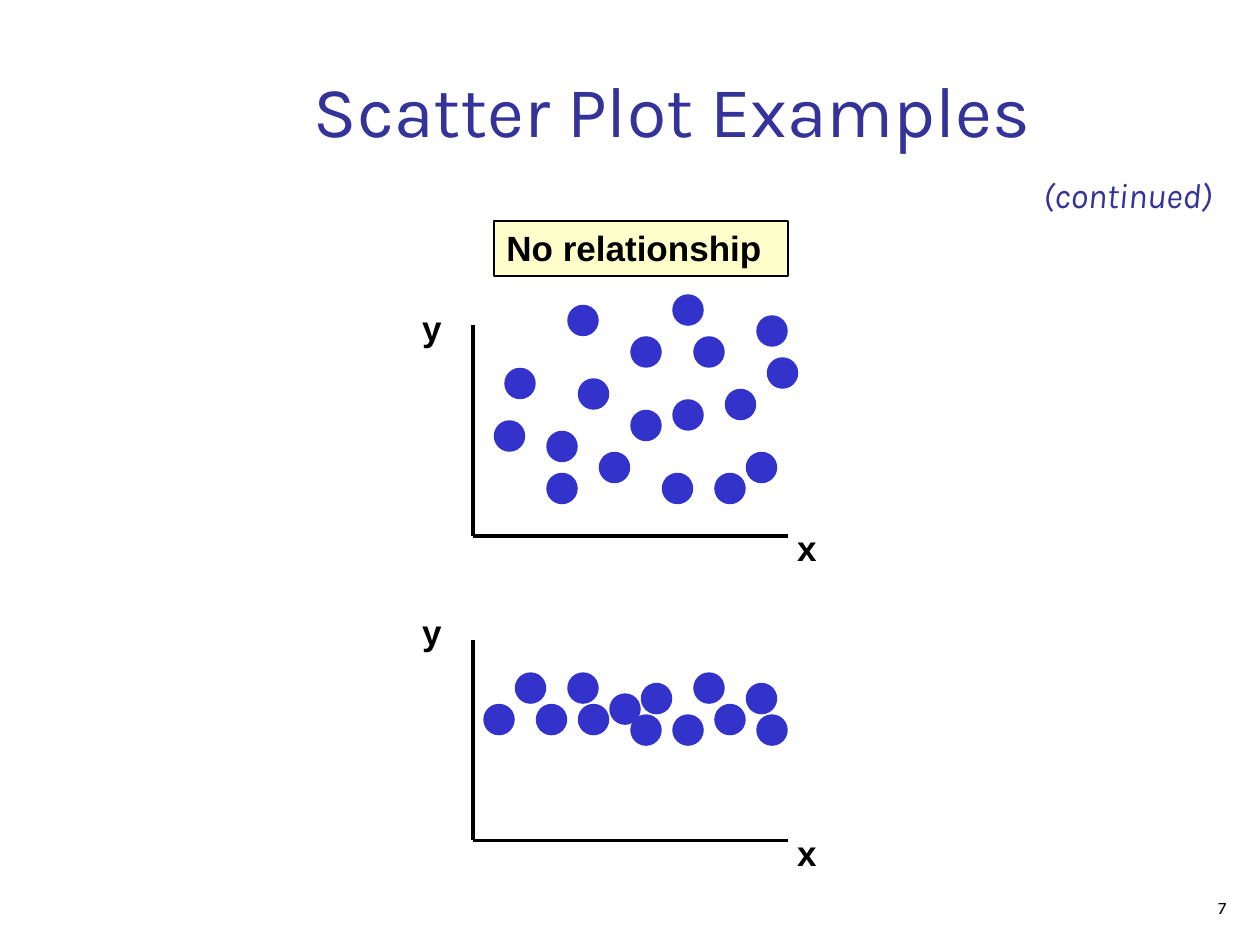
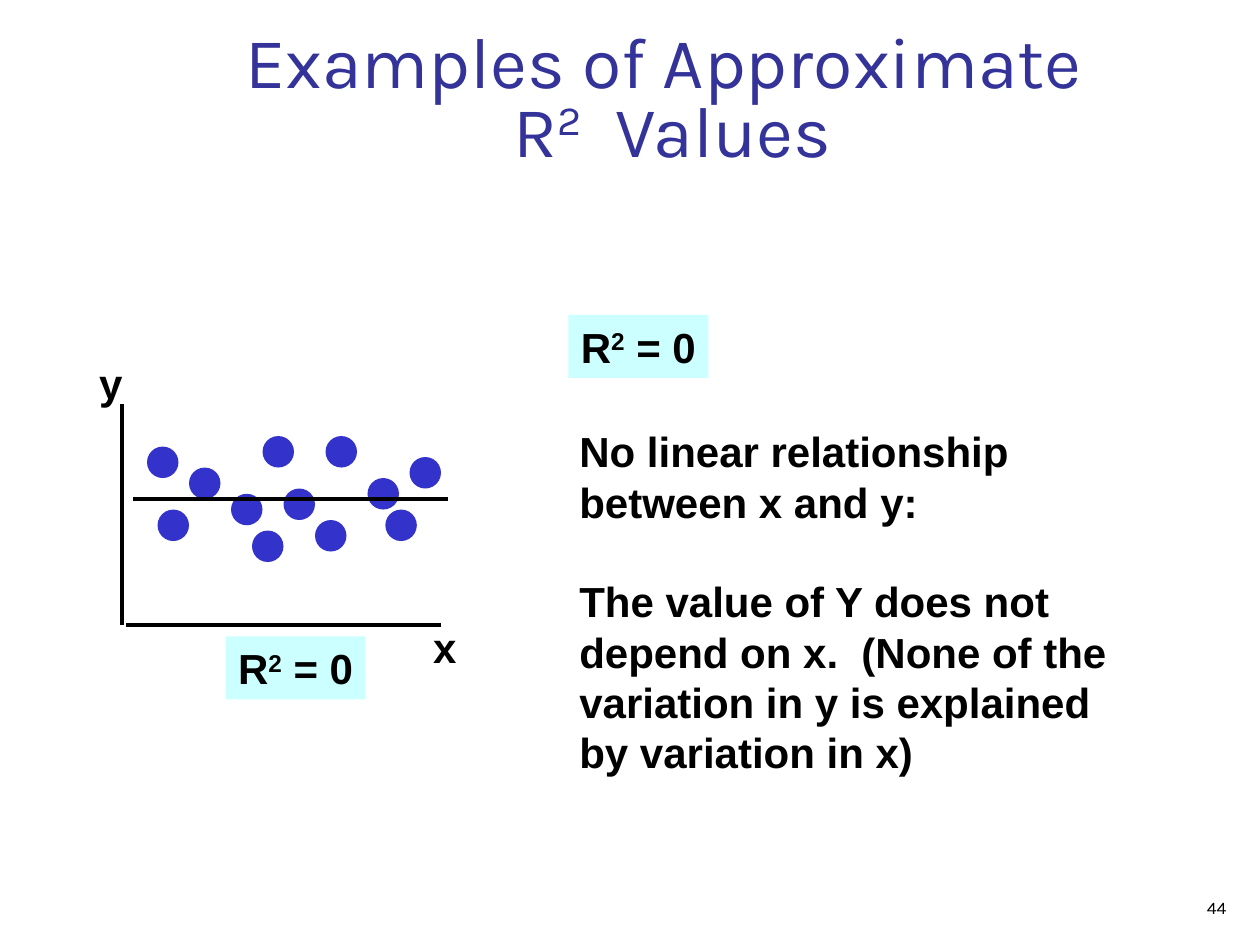
from dataclasses import dataclass

from lxml.etree import SubElement
from pptx import Presentation
from pptx.dml.color import RGBColor as Rgb
from pptx.enum.shapes import MSO_CONNECTOR as Connector, MSO_SHAPE as Shape
from pptx.enum.text import MSO_ANCHOR as Anchor, MSO_AUTO_SIZE as AutoSize, PP_ALIGN as Align
from pptx.oxml.ns import qn
from pptx.util import Cm, Pt


@dataclass(frozen=True)
class Theme:
    title_font: str = "Karla"
    text_font: str = "Arial"
    ink: Rgb = Rgb(0, 0, 0)
    title: Rgb = Rgb(0x33, 0x33, 0x99)
    dot: Rgb = Rgb(0x33, 0x33, 0xCC)
    heading_fill: Rgb = Rgb(0xFF, 0xFF, 0xCC)
    value_fill: Rgb = Rgb(0xCC, 0xFF, 0xFF)
    title_size: int = 41
    large: int = 24
    medium: int = 20
    small: int = 10


THEME = Theme()
GRID = 2.54 / 12  # dots sit on a grid of twelve cells to the inch
DOT_SIZE = 3 * GRID
AXIS_WIDTH = 6.35

# Dot places in grid cells, right of and above the plot's origin
SCATTERED_DOTS = [
    (19, 23), (2, 11), (26, 8), (28, 17), (7, 6), (9, 22),
    (19, 13), (21, 19), (27, 21), (15, 19), (7, 10), (10, 15),
    (23, 6), (15, 12), (12, 8), (3, 16), (18, 6), (24, 14),
]
FLAT_DOTS = [
    (27, 12), (6, 13), (26, 15), (9, 16), (21, 16), (23, 13), (13, 14),
    (1, 13), (4, 16), (10, 13), (19, 12), (16, 15), (15, 12),
]
ZERO_FIT_DOTS = [
    (3, 11), (27, 16), (23, 14), (18, 10), (19, 18), (13, 18),
    (2, 17), (6, 15), (10, 12.5), (15, 13), (12, 9), (24.7, 11),
]


# Text
def add_span(para, text, superscript=False):
    span = para.add_run()
    span.text = text
    if superscript:
        span._r.get_or_add_rPr().set("baseline", "30000")


def write(box, text, size=THEME.medium, font=THEME.text_font, color=THEME.ink,
          bold=True, italic=False, align=Align.LEFT, anchor=Anchor.TOP,
          wrap=False, fit=True, line_spacing=None, gap=0):
    """Fill a box: a new line starts a paragraph, \\v breaks a line, ² is raised."""
    frame = box.text_frame
    frame.word_wrap = wrap
    frame.auto_size = AutoSize.SHAPE_TO_FIT_TEXT if fit else AutoSize.NONE
    frame.vertical_anchor = anchor
    for index, paragraph_text in enumerate(text.split("\n")):
        para = frame.add_paragraph() if index else frame.paragraphs[0]
        para.alignment = align
        para.line_spacing = line_spacing
        if index:
            para.space_before = Pt(gap)
        for row, line in enumerate(paragraph_text.split("\v")):
            if row:
                para.add_line_break()
            base, mark, rest = line.partition("²")
            add_span(para, base)
            if mark:
                add_span(para, "2", superscript=True)
                add_span(para, rest)
        for span in para.runs:
            style = span.font
            style.name, style.size = font, Pt(size)
            style.bold, style.italic = bold, italic
            style.color.rgb = color


def add_text(page, text, left, top, width, height, **style):
    box = page.shapes.add_textbox(Cm(left), Cm(top), Cm(width), Cm(height))
    write(box, text, **style)


# Shapes and lines
def add_filled(page, kind, left, top, width, height, fill, outline=None):
    shape = page.shapes.add_shape(kind, Cm(left), Cm(top), Cm(width), Cm(height))
    shape.shadow.inherit = False
    shape.fill.solid()
    shape.fill.fore_color.rgb = fill
    if outline is None:
        shape.line.fill.background()
    else:
        shape.line.color.rgb = outline
        shape.line.width = Pt(1)
    return shape


def add_line(page, x1, y1, x2, y2):
    line = page.shapes.add_connector(
        Connector.STRAIGHT, Cm(x1), Cm(y1), Cm(x2), Cm(y2))
    line.line.color.rgb = THEME.ink
    line.line.width = Pt(2)
    SubElement(line._element.spPr, qn("a:effectLst"))


def add_value_label(page, left, top, **style):
    box = add_filled(page, Shape.RECTANGLE, left, top, 2.82, 1.27, THEME.value_fill)
    write(box, "R² = 0", size=THEME.large, **style)


def add_plot(page, dots, left, base, height, y_label, x_label,
             label_size=THEME.medium, y_axis_shift=0):
    """Draw dots, axes and axis letters; label places are left, top."""
    for right, up in dots:
        add_filled(page, Shape.OVAL, left + right * GRID, base - up * GRID,
                   DOT_SIZE, DOT_SIZE, THEME.dot)
    axis_x = left + y_axis_shift
    add_line(page, axis_x, base - height, axis_x, base)
    add_line(page, left, base, left + AXIS_WIDTH, base)
    for letter, place in (("y", y_label), ("x", x_label)):
        add_text(page, letter, *place, label_size * 0.04 + 0.07,
                 label_size * 0.04 + 0.31, size=label_size)


# Pages
def add_page(deck, title, number, top, height, line_spacing=None):
    page = deck.slides.add_slide(deck.slide_layouts.get_by_name("Title Only"))
    box = page.shapes.title
    box.left, box.top, box.width, box.height = map(Cm, (2.74, top, 21.64, height))
    write(box, title, size=THEME.title_size, font=THEME.title_font,
          color=THEME.title, bold=False, align=Align.CENTER,
          anchor=Anchor.BOTTOM, wrap=True, fit=False, line_spacing=line_spacing)
    add_text(page, str(number), 19.69, 17.78, 5.28, 0.86, size=THEME.small,
             font=THEME.title_font, bold=False, align=Align.RIGHT,
             anchor=Anchor.BOTTOM, wrap=True, fit=False)
    return page


def add_scatter_page(deck):
    page = add_page(deck, "Scatter Plot Examples", 7, top=1.07, height=2.11)
    add_plot(page, FLAT_DOTS, 9.53, 16.94, 4.04,
             y_label=(8.26, 12.19), x_label=(15.82, 16.64))
    add_plot(page, SCATTERED_DOTS, 9.53, 10.8, 4.24,
             y_label=(8.26, 6.05), x_label=(15.82, 10.49))
    heading = add_filled(page, Shape.RECTANGLE, 9.96, 4.45, 5.92, 1.11,
                         THEME.heading_fill, outline=THEME.ink)
    write(heading, "No relationship", wrap=True)
    add_text(page, "(continued)", 20.78, 3.38, 4.04, 1.11, font=THEME.title_font,
             color=THEME.title, bold=False, italic=True)


def add_r_squared_page(deck):
    page = add_page(deck, "Examples of Approximate \vR²  Values", 44,
                    top=0.84, height=2.74, line_spacing=0.8)
    add_value_label(page, 11.46, 6.35)
    add_text(page, "No linear relationship between x and y:\n"
             "The value of Y does not depend on x.  (None of the variation in y "
             "is explained by variation in x)",
             11.43, 8.46, 11.63, 7.37, size=THEME.large, wrap=True, gap=28)
    add_plot(page, ZERO_FIT_DOTS, 2.54, 12.6, 4.45, y_label=(1.75, 7.09),
             x_label=(8.48, 12.4), label_size=THEME.large, y_axis_shift=-0.08)
    # Flat regression line
    add_line(page, 2.69, 10.06, 2.69 + AXIS_WIDTH, 10.06)
    add_value_label(page, 4.55, 12.83, align=Align.RIGHT)


def main():
    deck = Presentation()
    deck.slide_width, deck.slide_height = Cm(25.4), Cm(19.05)
    add_scatter_page(deck)
    add_r_squared_page(deck)
    deck.save("out.pptx")


if __name__ == "__main__":
    main()
